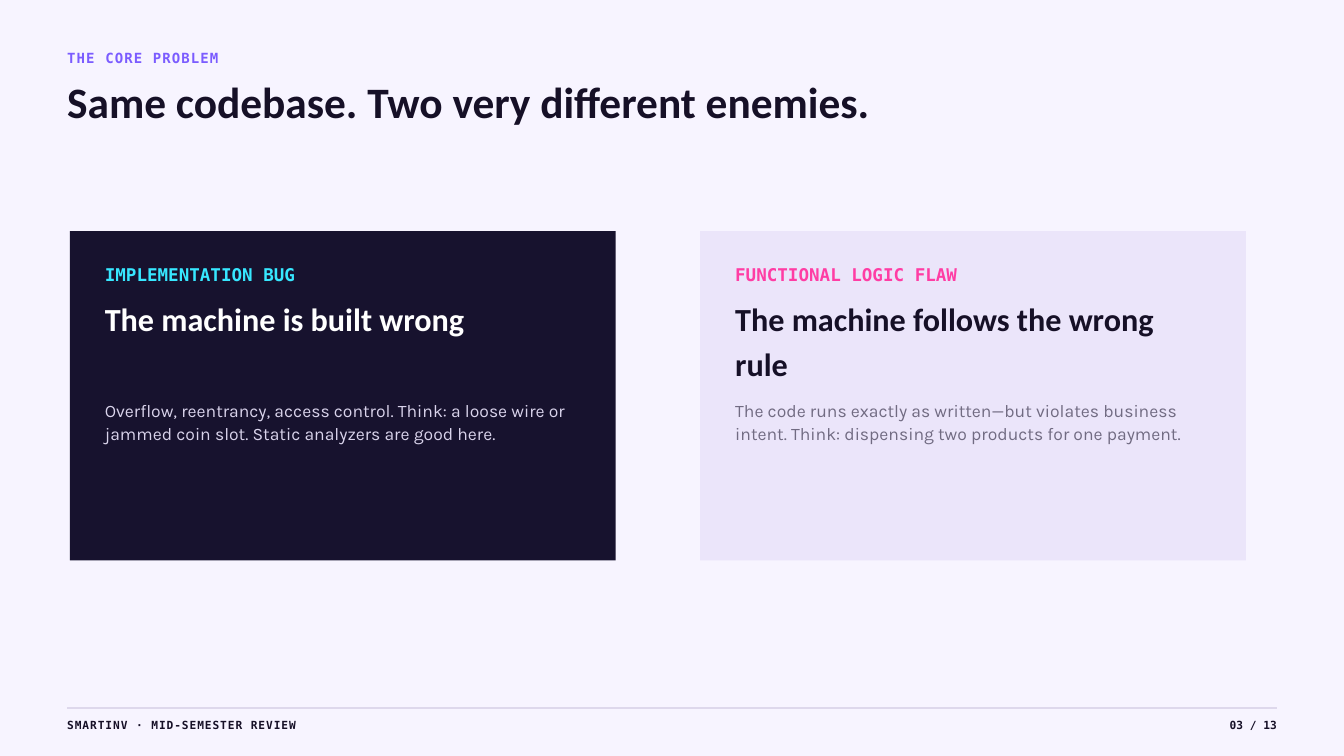
from lxml import etree
from pptx import Presentation
from pptx.dml.color import RGBColor
from pptx.enum import shapes, text
from pptx.oxml import ns
from pptx.util import Inches, Pt

PAPER = RGBColor(0xF7, 0xF4, 0xFF)
INK = RGBColor(0x16, 0x10, 0x27)
NIGHT = RGBColor(0x17, 0x12, 0x2E)
LILAC = RGBColor(0xEB, 0xE5, 0xFA)
VIOLET = RGBColor(0x7B, 0x5C, 0xFF)
CYAN = RGBColor(0x37, 0xE7, 0xFF)
PINK = RGBColor(0xFF, 0x3D, 0xA4)
WHITE = RGBColor(0xFF, 0xFF, 0xFF)
MIST = RGBColor(0xD9, 0xD3, 0xEB)
GREY = RGBColor(0x71, 0x6B, 0x82)
RULE = RGBColor(0xDE, 0xD8, 0xEC)

HEAD, MONO, BODY = "Calibri", "DejaVu Sans Mono", "Karla"


def write(shape, words, font=MONO, size=12, color=INK, bold=True,
          lead=16.8, track=0, align=text.PP_ALIGN.LEFT):
    """Fill a shape with one formatted paragraph."""
    frame = shape.text_frame
    frame.word_wrap = True
    frame.auto_size = text.MSO_AUTO_SIZE.NONE
    frame.vertical_anchor = text.MSO_ANCHOR.TOP
    frame.margin_left = frame.margin_right = 0
    frame.margin_top = frame.margin_bottom = 0
    para = frame.paragraphs[0]
    para.alignment = align
    para.line_spacing = Pt(lead)
    para.space_before = Pt(0)
    run = para.add_run()
    run.text = words
    run.font.name = font
    run.font.size = Pt(size)
    run.font.bold = bold
    run.font.color.rgb = color
    if track:
        run.font._element.set("spc", str(round(track * 100)))


class Deck:
    """Holds the slide and draws each kind of element in its style."""

    def __init__(self, show):
        self.slide = show.slides.add_slide(show.slide_layouts[5])
        self.items = self.slide.shapes
        fill = self.slide.background.fill
        fill.solid()
        fill.fore_color.rgb = PAPER

    def title(self, words, x, y, w, h):
        shape = self.items.title
        shape.left, shape.top = Inches(x), Inches(y)
        shape.width, shape.height = Inches(w), Inches(h)
        write(shape, words, font=HEAD, size=46.5, lead=48.8)

    def label(self, words, x, y, w, h, **style):
        box = self.items.add_textbox(Inches(x), Inches(y), Inches(w), Inches(h))
        write(box, words, **style)

    def panel(self, x, y, w, h, color):
        shape = self.items.add_shape(shapes.MSO_SHAPE.RECTANGLE,
                                     Inches(x), Inches(y), Inches(w), Inches(h))
        shape.shadow.inherit = False
        shape.fill.solid()
        shape.fill.fore_color.rgb = color
        shape.line.fill.background()

    def rule(self, x, y, end):
        line = self.items.add_connector(shapes.MSO_CONNECTOR.STRAIGHT,
                                        Inches(x), Inches(y), Inches(end), Inches(y))
        line.line.color.rgb = RULE
        line.line.width = Pt(2)
        etree.SubElement(line._element.spPr, ns.qn("a:effectLst"))

    def card(self, x, back, tag, accent, head, shade, note, tint):
        top, wide, pad = 3.44, 6.98, 0.52
        left = x + pad
        self.panel(x, top, 8.12, 4.9, back)
        self.label(tag, left, top + 0.44, wide, 0.34,
                   size=18.8, color=accent, lead=26.2)
        self.label(head, left, top + 0.92, wide, 1.35,
                   font=HEAD, size=34.5, color=shade, lead=48.3)
        self.label(note, left, top + 2.47, wide, 0.67,
                   font=BODY, size=18.8, color=tint, bold=False, lead=25.3)


def main():
    show = Presentation()
    show.slide_width, show.slide_height = Inches(20), Inches(11.25)
    deck = Deck(show)

    # Heading
    deck.label("THE CORE PROBLEM", 1, 0.7, 9.38, 0.28,
               size=15, color=VIOLET, lead=21, track=1.2)
    deck.title("Same codebase. Two very different enemies.", 1, 1.22, 16.15, 0.81)

    # Two kinds of flaw, side by side
    cards = [
        (NIGHT, "IMPLEMENTATION BUG", CYAN, "The machine is built wrong", WHITE,
         "Overflow, reentrancy, access control. Think: a loose wire or "
         "jammed coin slot. Static analyzers are good here.", MIST),
        (LILAC, "FUNCTIONAL LOGIC FLAW", PINK, "The machine follows the wrong rule", INK,
         "The code runs exactly as written—but violates business "
         "intent. Think: dispensing two products for one payment.", GREY),
    ]
    for i, card in enumerate(cards):
        deck.card(1.04 + i * 9.38, *card)

    # Footer
    deck.rule(1, 10.54, 19)
    deck.label("SMARTINV · MID-SEMESTER REVIEW", 1, 10.66, 7.29, 0.21, track=1)
    deck.label("03 / 13", 18.12, 10.66, 0.88, 0.21, align=text.PP_ALIGN.RIGHT)

    show.save("out.pptx")


if __name__ == "__main__":
    main()
